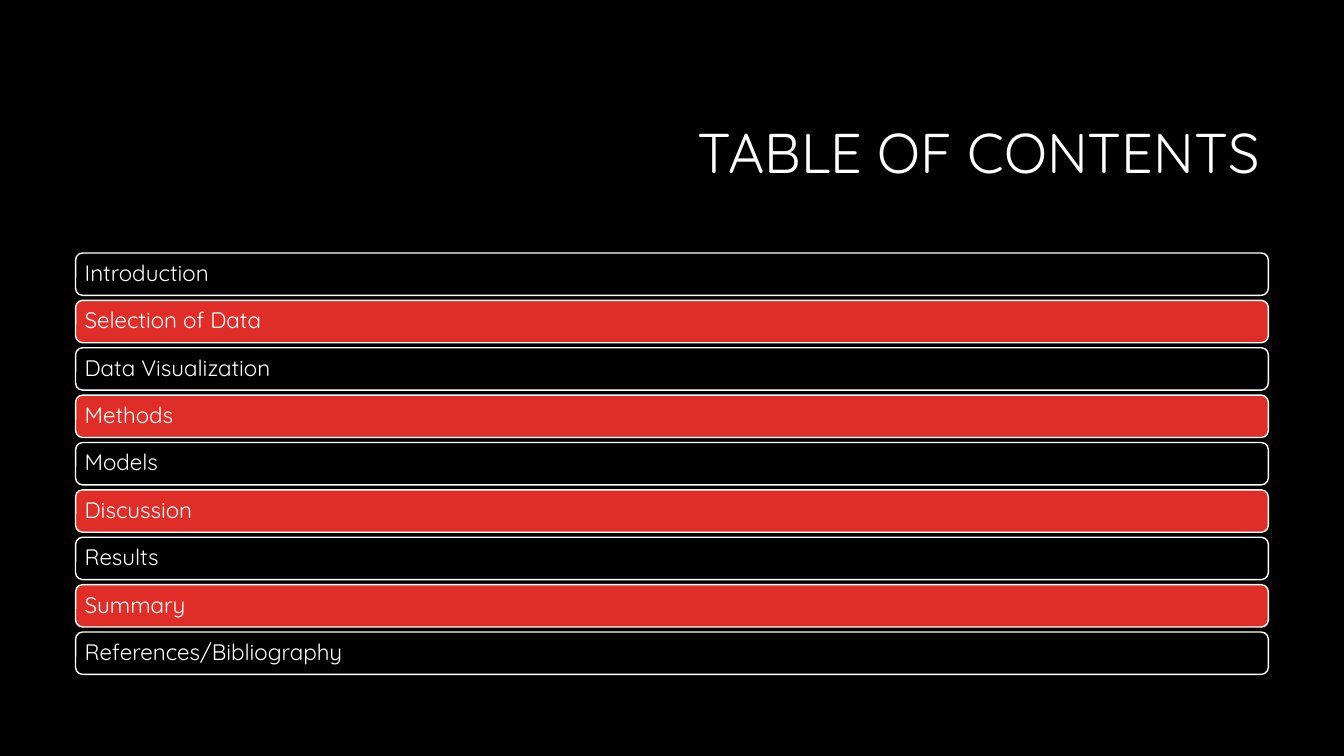
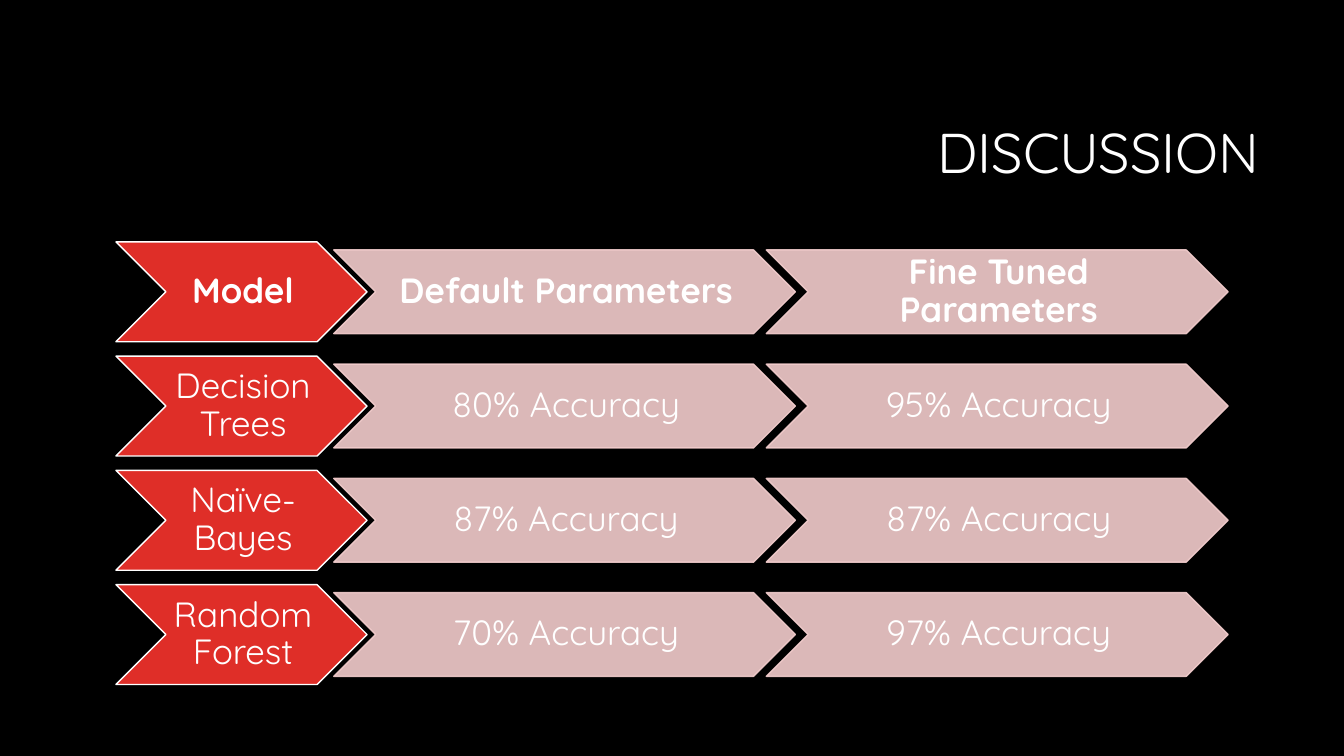
from lxml import etree
from pptx import Presentation
from pptx import util as u
from pptx.dml import color
from pptx.enum import shapes, text
from pptx.oxml import ns

COLOURS = {"background": "000000", "text": "FFFFFF", "accent": "DF2E28", "tint": "F3CDCD"}
FONT = "Quicksand"
TITLE_BOX = (3.17, 0.84, 9.42, 1.41)
CONTENTS_BOX = (0.75, 2.51, 11.83, 4.18)
RESULTS_BOX = (1.15, 2.4, 11.03, 4.39)

CONTENTS = [
    "Introduction", "Selection of Data", "Data Visualization", "Methods", "Models",
    "Discussion", "Results", "Summary", "References/Bibliography",
]
RESULTS = [
    ("Model", "Default Parameters", "Fine Tuned Parameters"),
    ("Decision Trees", "80% Accuracy", "95% Accuracy"),
    ("Naïve-Bayes", "87% Accuracy", "87% Accuracy"),
    ("Random Forest", "70% Accuracy", "97% Accuracy"),
]


def rgb(name):
    """Return the named colour of the palette."""
    return color.RGBColor.from_string(COLOURS[name])


def write(shape, words, size, align, insets, bold=False):
    """Write one vertically centred paragraph into a shape."""
    frame = shape.text_frame
    frame.word_wrap = True
    frame.vertical_anchor = text.MSO_ANCHOR.MIDDLE
    frame.margin_left, frame.margin_top, frame.margin_right, frame.margin_bottom = map(u.Inches, insets)
    paragraph = frame.paragraphs[0]
    paragraph.text = words
    paragraph.alignment = align
    paragraph.line_spacing = 0.9
    paragraph.font.name = FONT
    paragraph.font.size = u.Pt(size)
    paragraph.font.bold = bold
    paragraph.font.color.rgb = rgb("text")


def add_panel(slide, preset, box, fill, line, opacity=100):
    """Add a preset shape with a palette fill (or none) and a thin outline."""
    shape = slide.shapes.add_shape(preset, *map(u.Inches, box))
    shape.shadow.inherit = False
    if fill:
        shape.fill.solid()
        shape.fill.fore_color.rgb = rgb(fill)
    else:
        shape.fill.background()
    shape.line.color.rgb = rgb(line)
    shape.line.width = u.Pt(1)
    if opacity < 100:
        for colour in shape.element.spPr.iter(ns.qn("a:srgbClr")):
            etree.SubElement(colour, ns.qn("a:alpha")).set("val", str(opacity * 1000))
    return shape


def add_titled_slide(presentation, title):
    """Add a blank slide with the shared right-aligned title."""
    slide = presentation.slides.add_slide(presentation.slide_layouts[6])
    heading = slide.shapes.add_textbox(*map(u.Inches, TITLE_BOX))
    write(heading, title, 40, text.PP_ALIGN.RIGHT, (0.1, 0.05, 0.1, 0.05))
    return slide


def add_contents_list(slide, box, entries):
    """Stack one rounded bar per entry, with every second bar filled."""
    left, top, width, height = box
    bar_height = 0.42
    pitch = (height - bar_height) / (len(entries) - 1)
    for index, entry in enumerate(entries):
        bar = add_panel(slide, shapes.MSO_SHAPE.ROUNDED_RECTANGLE,
                        (left, top + index * pitch, width, bar_height),
                        "accent" if index % 2 else None, "text")
        write(bar, entry, 16, text.PP_ALIGN.LEFT, (0.07,) * 4)


def add_chevron_rows(slide, box, rows):
    """Lay out each row as a large label chevron followed by tinted value chevrons."""
    left, top, width, height = box
    label_width, label_height = 2.49, 0.99
    value_width, value_height = 4.58, 0.83
    first_value = left + 2.16
    column_pitch = left + width - value_width - first_value
    row_pitch = (height - label_height) / (len(rows) - 1)
    for row, (label, *values) in enumerate(rows):
        y = top + row * row_pitch
        value_y = y + (label_height - value_height) / 2
        chevrons = [(label, (left, y, label_width, label_height), "accent", "text", 100)]
        for column, value in enumerate(values):
            value_box = (first_value + column * column_pitch, value_y, value_width, value_height)
            chevrons.append((value, value_box, "tint", "tint", 90))
        for words, chevron_box, fill, line, opacity in chevrons:
            chevron = add_panel(slide, shapes.MSO_SHAPE.CHEVRON, chevron_box, fill, line, opacity)
            write(chevron, words, 25, text.PP_ALIGN.CENTER, (0.03, 0.02, 0, 0.02), bold=row == 0)


def main():
    """Build and save the presentation."""
    presentation = Presentation()
    presentation.slide_width = u.Inches(13.33)
    presentation.slide_height = u.Inches(7.5)
    backdrop = presentation.slide_master.background.fill
    backdrop.solid()
    backdrop.fore_color.rgb = rgb("background")
    add_contents_list(add_titled_slide(presentation, "TABLE OF CONTENTS"), CONTENTS_BOX, CONTENTS)
    add_chevron_rows(add_titled_slide(presentation, "DISCUSSION"), RESULTS_BOX, RESULTS)
    presentation.save("out.pptx")


main()
